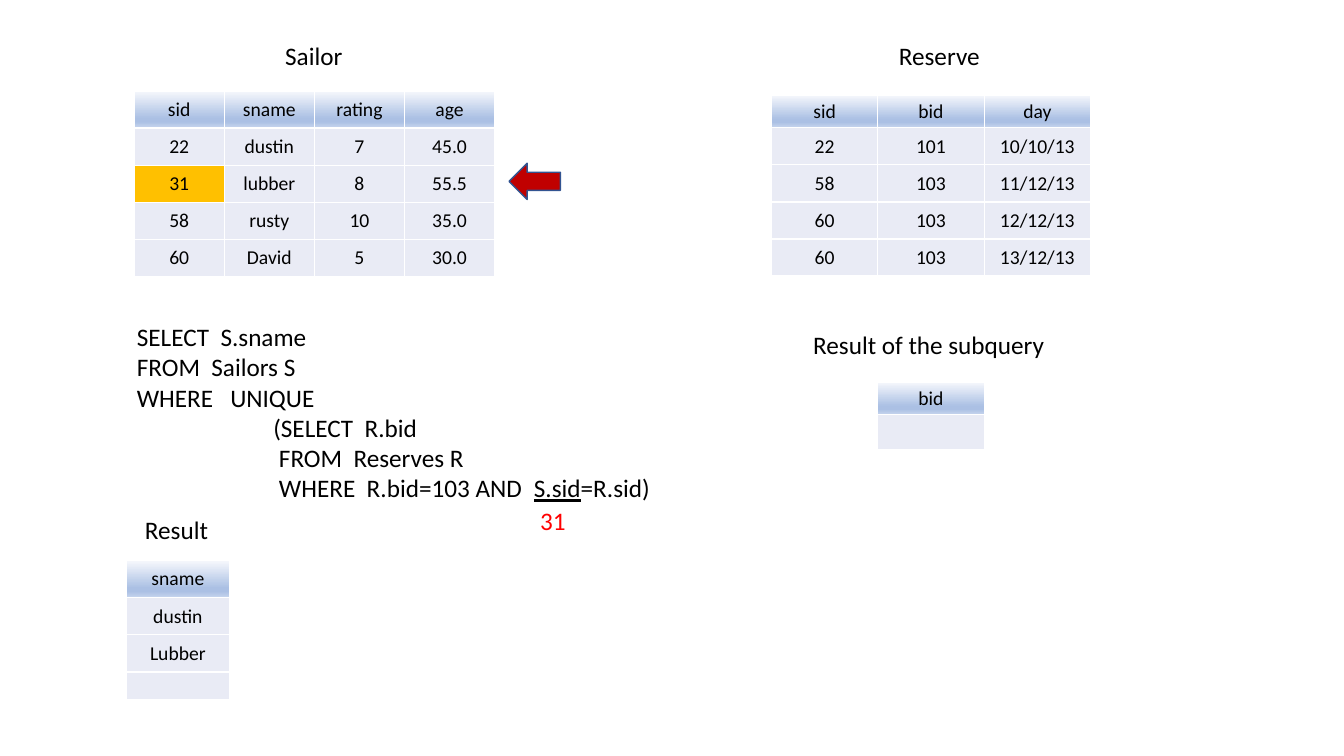
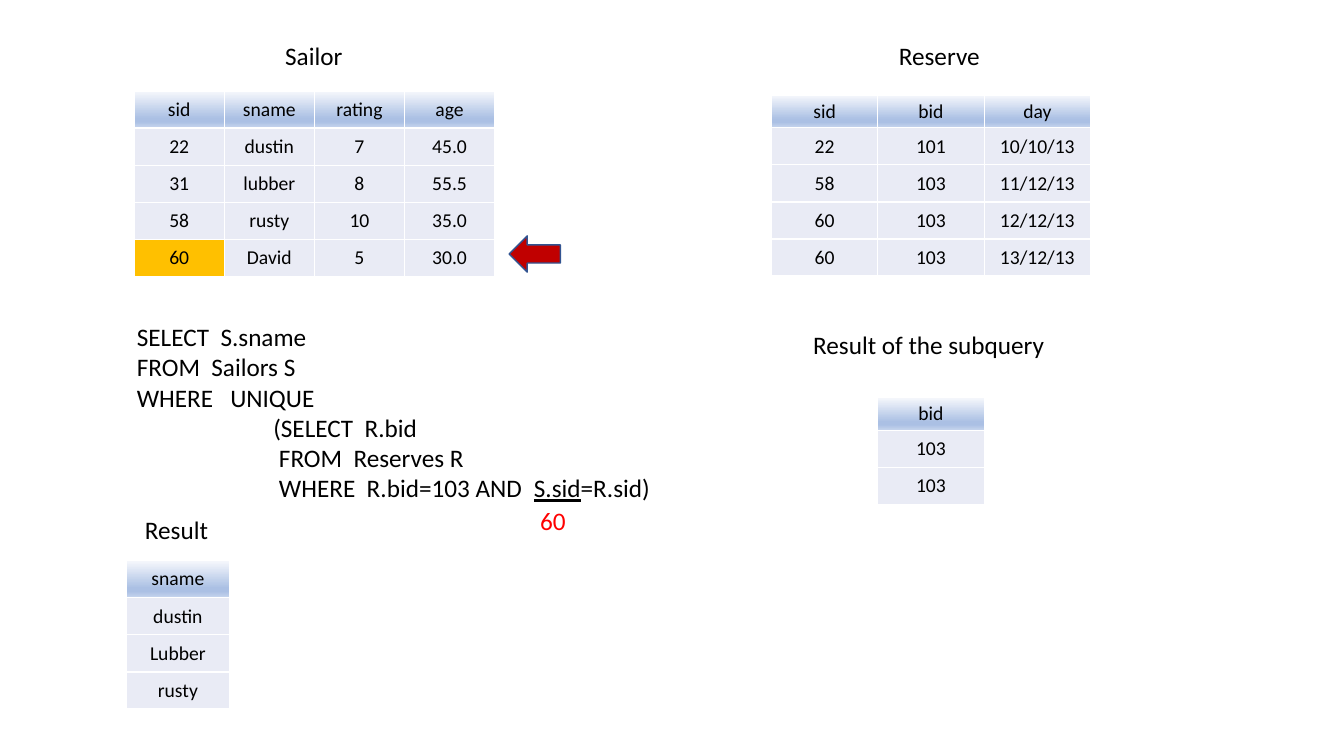
from pptx import Presentation
from pptx.dml.color import RGBColor
from pptx.enum.shapes import MSO_SHAPE
from pptx.enum.text import MSO_ANCHOR, PP_ALIGN
from pptx.oxml import parse_xml
from pptx.oxml.ns import nsdecls
from pptx.util import Pt

FONT = "Calibri"
BLACK = RGBColor(0x00, 0x00, 0x00)
RED = RGBColor(0xFF, 0x00, 0x00)
DARK_RED = RGBColor(0xC0, 0x00, 0x00)
NAVY = RGBColor(0x32, 0x54, 0x91)
PALE = RGBColor(0xE9, 0xEB, 0xF5)
AMBER = RGBColor(0xFF, 0xC0, 0x00)
WHITE = RGBColor(0xFF, 0xFF, 0xFF)
HEADER_STOPS = [
    (0, RGBColor(0xF6, 0xF8, 0xFC)),
    (74, RGBColor(0xAB, 0xC0, 0xE4)),
    (83, RGBColor(0xAB, 0xC0, 0xE4)),
    (100, RGBColor(0xC7, 0xD5, 0xED)),
]

TEXT_SIZE, CELL_SIZE = 18, 14
ROW_HEIGHT, LOW_HEADER = 26.5, 23.4
SAILOR_COLUMN, RESERVE_COLUMN, RESULT_COLUMN = 64.4, 76, 74.2

SAILORS = [
    ("sid", "sname", "rating", "age"),
    ("22", "dustin", "7", "45.0"),
    ("31", "lubber", "8", "55.5"),
    ("58", "rusty", "10", "35.0"),
    ("60", "David", "5", "30.0"),
]
RESERVES = [
    ("sid", "bid", "day"),
    ("22", "101", "10/10/13"),
    ("58", "103", "11/12/13"),
    ("60", "103", "12/12/13"),
    ("60", "103", "13/12/13"),
]
# Each line is a list of (text, underlined) spans.
QUERY = [
    [("SELECT  S.sname", False)],
    [("FROM  Sailors S", False)],
    [("WHERE   UNIQUE", False)],
    [("                        (SELECT  R.bid", False)],
    [("                         FROM  Reserves R", False)],
    [("                         WHERE  R.bid=103 AND  ", False),
     ("S.sid", True), ("=R.sid)", False)],
]
# text, left, top, width
LABELS = [
    ("Result", 96.5, 363.6, 59.8),
    ("Reserve", 635, 25.2, 72.7),
    ("Result of the subquery", 573.8, 231.8, 181.4),
    ("Sailor", 196.6, 25.2, 56.2),
]
STEPS = [
    {"sid": "31", "arrow_top": 116.6,
     "subquery": [("bid",), ("",)], "subquery_top": 272.9, "subquery_last": 25.2,
     "result": [("sname",), ("dustin",), ("Lubber",), ("",)], "result_last": 19.6},
    {"sid": "60", "arrow_top": 168.5,
     "subquery": [("bid",), ("103",), ("103",)], "subquery_top": 284,
     "subquery_last": ROW_HEIGHT,
     "result": [("sname",), ("dustin",), ("Lubber",), ("rusty",)],
     "result_last": ROW_HEIGHT},
]


def add_span(para, text, size, color=BLACK, underline=False):
    span = para.add_run()
    span.text = text
    span.font.name = FONT
    span.font.size = Pt(size)
    span.font.color.rgb = color
    if underline:
        span.font.underline = True


def add_text(page, lines, left, top, width, height=29.1, color=BLACK, wrap=False):
    box = page.shapes.add_textbox(Pt(left), Pt(top), Pt(width), Pt(height))
    frame = box.text_frame
    frame.word_wrap = wrap
    for index, spans in enumerate(lines):
        para = frame.add_paragraph() if index else frame.paragraphs[0]
        for text, underline in spans:
            add_span(para, text, TEXT_SIZE, color, underline)


def add_borders(cell):
    for side in ("lnL", "lnR", "lnT", "lnB"):
        cell._tc.get_or_add_tcPr().append(parse_xml(
            f'<a:{side} {nsdecls("a")} w="{Pt(1)}"><a:solidFill>'
            f'<a:srgbClr val="{WHITE}"/></a:solidFill></a:{side}>'))


def fill_header(cell):
    stops = "".join(f'<a:gs pos="{place * 1000}"><a:srgbClr val="{color}"/></a:gs>'
                    for place, color in HEADER_STOPS)
    cell._tc.get_or_add_tcPr().append(parse_xml(
        f'<a:gradFill {nsdecls("a")}><a:gsLst>{stops}</a:gsLst>'
        '<a:lin ang="5400000" scaled="0"/></a:gradFill>'))


def write_cell(cell, text):
    cell.margin_top = cell.margin_bottom = 0
    cell.vertical_anchor = MSO_ANCHOR.MIDDLE
    para = cell.text_frame.paragraphs[0]
    para.alignment = PP_ALIGN.CENTER
    if text:
        add_span(para, text, CELL_SIZE)
    else:
        para._p.get_or_add_endParaRPr().set("sz", str(CELL_SIZE * 100))


def add_grid(page, rows, left, top, column, header=ROW_HEIGHT, last=ROW_HEIGHT,
             marked=None):
    """Draw a table with a gradient header; the first-column cell reading marked is amber."""
    heights = [header] + [ROW_HEIGHT] * (len(rows) - 2) + [last]
    table = page.shapes.add_table(
        len(rows), len(rows[0]), Pt(left), Pt(top),
        Pt(column * len(rows[0])), Pt(sum(heights))).table
    table.horz_banding = False
    table.first_row = False
    for table_column in table.columns:
        table_column.width = Pt(column)
    for r, (values, height) in enumerate(zip(rows, heights)):
        table.rows[r].height = Pt(height)
        for c, value in enumerate(values):
            cell = table.cell(r, c)
            write_cell(cell, value)
            add_borders(cell)
            if r == 0:
                fill_header(cell)
            else:
                cell.fill.solid()
                is_marked = c == 0 and value == marked
                cell.fill.fore_color.rgb = AMBER if is_marked else PALE


def add_row_arrow(page, top):
    arrow = page.shapes.add_shape(
        MSO_SHAPE.LEFT_ARROW, Pt(363.6), Pt(top), Pt(36.7), Pt(25.9))
    arrow.shadow.inherit = False
    arrow.fill.solid()
    arrow.fill.fore_color.rgb = DARK_RED
    arrow.line.color.rgb = NAVY
    arrow.line.width = Pt(1)


def build_step(page, step):
    add_text(page, QUERY, 90.7, 226.1, 432, 138.2, wrap=True)
    for text, left, top, width in LABELS:
        add_text(page, [[(text, False)]], left, top, width)
    add_row_arrow(page, step["arrow_top"])
    add_grid(page, SAILORS, 95.8, 65, SAILOR_COLUMN, marked=step["sid"])
    add_grid(page, RESERVES, 551, 67.9, RESERVE_COLUMN, LOW_HEADER)
    add_grid(page, step["subquery"], 551 + RESERVE_COLUMN, step["subquery_top"],
             RESERVE_COLUMN, LOW_HEADER, step["subquery_last"])
    add_grid(page, step["result"], 90, 400.5, RESULT_COLUMN, last=step["result_last"])
    add_text(page, [[(step["sid"], False)]], 378.7, 357.1, 33.1, color=RED)


def main():
    deck = Presentation()
    deck.slide_width, deck.slide_height = Pt(960), Pt(540)
    for step in STEPS:
        build_step(deck.slides.add_slide(deck.slide_layouts[6]), step)
    deck.save("out.pptx")


if __name__ == "__main__":
    main()
